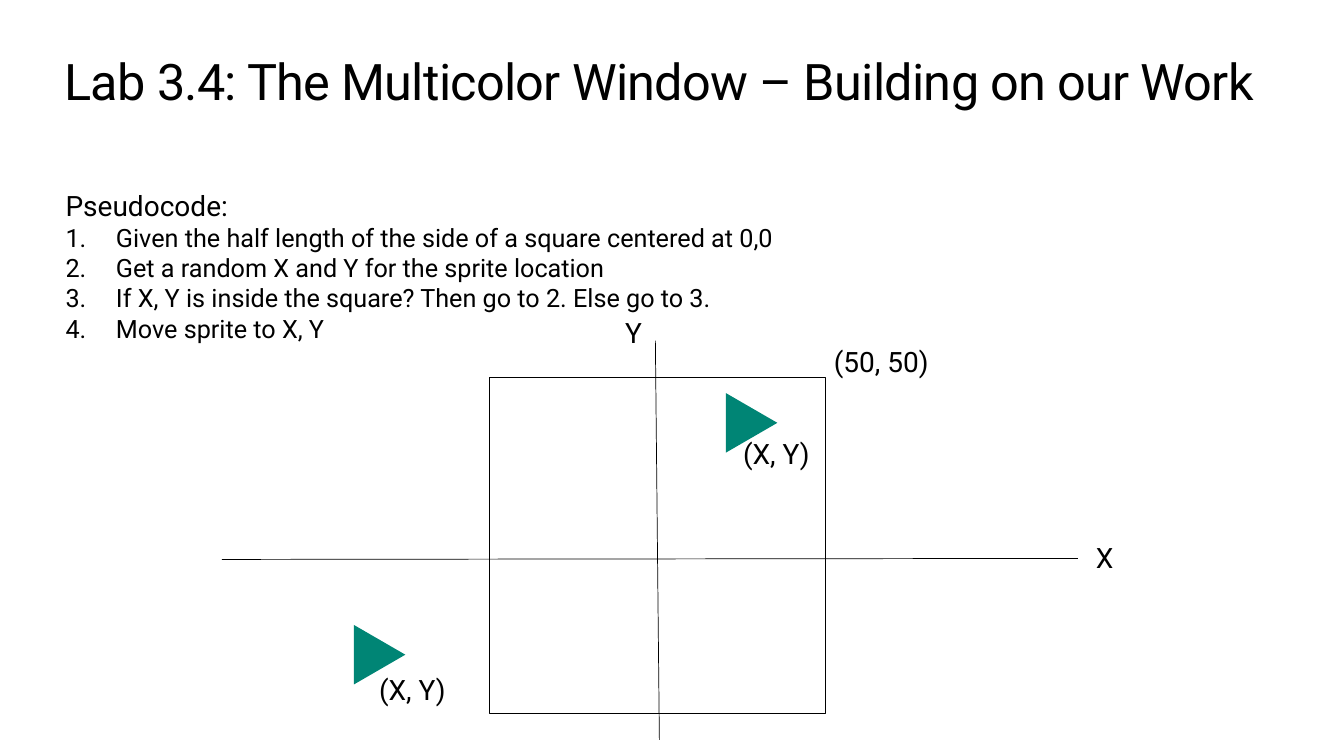
"""Build the lab slide with pseudocode and a square on coordinate axes."""
from pptx import Presentation
from pptx.dml.color import RGBColor
from pptx.enum.shapes import MSO_CONNECTOR, MSO_SHAPE
from pptx.enum.text import MSO_ANCHOR, MSO_AUTO_SIZE, PP_ALIGN
from pptx.oxml.ns import qn
from pptx.util import Inches, Pt

STRAIGHT = MSO_CONNECTOR.STRAIGHT
RECTANGLE = MSO_SHAPE.RECTANGLE
TRIANGLE = MSO_SHAPE.ISOSCELES_TRIANGLE
TOP = MSO_ANCHOR.TOP
LEFT = PP_ALIGN.LEFT
FIXED_SIZE = MSO_AUTO_SIZE.NONE
BLACK = "000000"
TEAL = "008575"


def color(value):
    return RGBColor.from_string(value)


def write(shape, box, lines):
    shape.left, shape.top, shape.width, shape.height = map(Inches, box)
    frame = shape.text_frame
    frame.word_wrap = True
    frame.auto_size = FIXED_SIZE
    frame.vertical_anchor = TOP
    frame.margin_left = frame.margin_top = frame.margin_right = frame.margin_bottom = 0
    for index, (text, size, numbered) in enumerate(lines):
        paragraph = frame.add_paragraph() if index else frame.paragraphs[0]
        properties = paragraph._p.get_or_add_pPr()
        properties.set("marL", str(Inches(0.5) if numbered else 0))
        properties.set("indent", str(Inches(-0.5) if numbered else 0))
        paragraph.alignment = LEFT
        paragraph.space_before = Pt(0)
        if numbered:
            bullet = properties.makeelement(qn("a:buAutoNum"), {"type": "arabicPeriod"})
        else:
            bullet = properties.makeelement(qn("a:buNone"), {})
        properties.append(bullet)
        run = paragraph.add_run()
        run.text = text
        run.font.name = "Roboto"
        run.font.size = Pt(size)
        run.font.color.rgb = color(BLACK)


presentation = Presentation()
presentation.slide_width = Inches(13.33)
presentation.slide_height = Inches(7.5)
slide = presentation.slides.add_slide(presentation.slide_layouts[1])
shapes = slide.shapes

title = shapes.title
write(title, (0.64, 0.5, 12.05, 1.21),
      [("Lab 3.4: The Multicolor Window – Building on our Work", 36, False)])
title.text_frame.paragraphs[0].runs[0].font._element.set("spc", "-50")

steps = [
    "Given the half length of the side of a square centered at 0,0",
    "Get a random X and Y for the sprite location",
    "If X, Y is inside the square? Then go to 2. Else go to 3.",
    "Move sprite to X, Y",
]
write(slide.placeholders[1], (0.65, 1.87, 9.64, 1.55),
      [("Pseudocode:", 20, False)] + [(step, 18, True) for step in steps])

side = Inches(3.33)
square = shapes.add_shape(RECTANGLE, Inches(4.86), Inches(3.75), side, side)
square.shadow.inherit = False
square.fill.background()
square.line.color.rgb = color(BLACK)
square.line.width = Pt(0.75)

for ends in [(6.5, 3.38, 6.54, 7.34), (2.2, 5.55, 10.69, 5.54)]:
    axis = shapes.add_connector(STRAIGHT, *map(Inches, ends))
    axis.line.color.rgb = color(BLACK)
    axis.line.width = Pt(0.5)
    axis_properties = axis._element.spPr
    axis_properties.append(axis_properties.makeelement(qn("a:effectLst"), {}))

for left, top in [(7.16, 3.94), (3.47, 6.24)]:
    sprite = shapes.add_shape(TRIANGLE, Inches(left), Inches(top), Inches(0.59), Inches(0.51))
    sprite.rotation = 90
    sprite.shadow.inherit = False
    sprite.fill.solid()
    sprite.fill.fore_color.rgb = color(TEAL)
    sprite.line.fill.background()

labels = [
    ("(50, 50)", 8.27, 3.42, 3),
    ("(X, Y)", 7.37, 4.33, 3),
    ("(X, Y)", 3.76, 6.67, 3),
    ("X", 10.87, 5.36, 1.43),
    ("Y", 6.2, 3.13, 1.43),
]
for text, left, top, width in labels:
    write(shapes.add_textbox(0, 0, 0, 0), (left, top, width, 0.34), [(text, 20, False)])

presentation.save("out.pptx")
